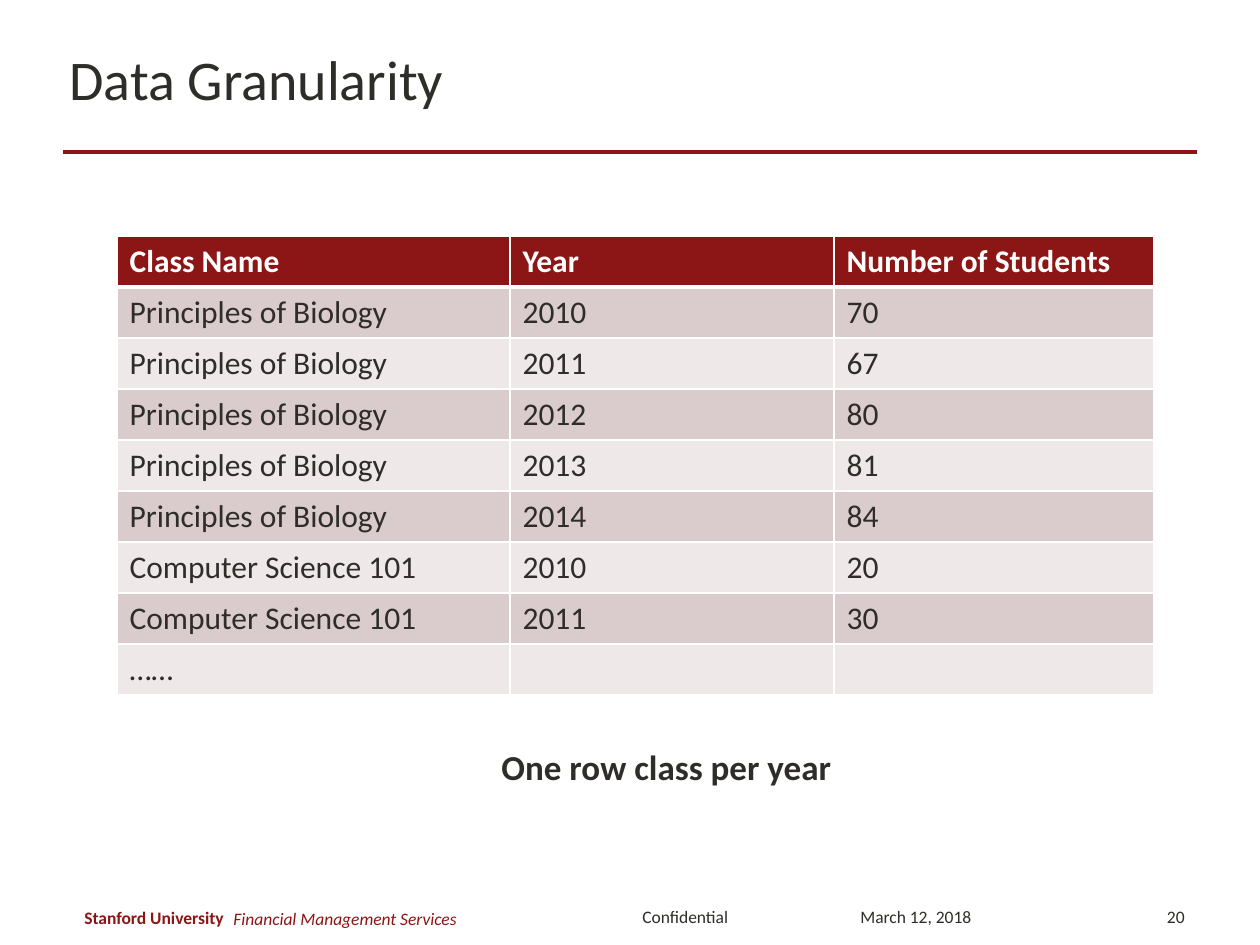
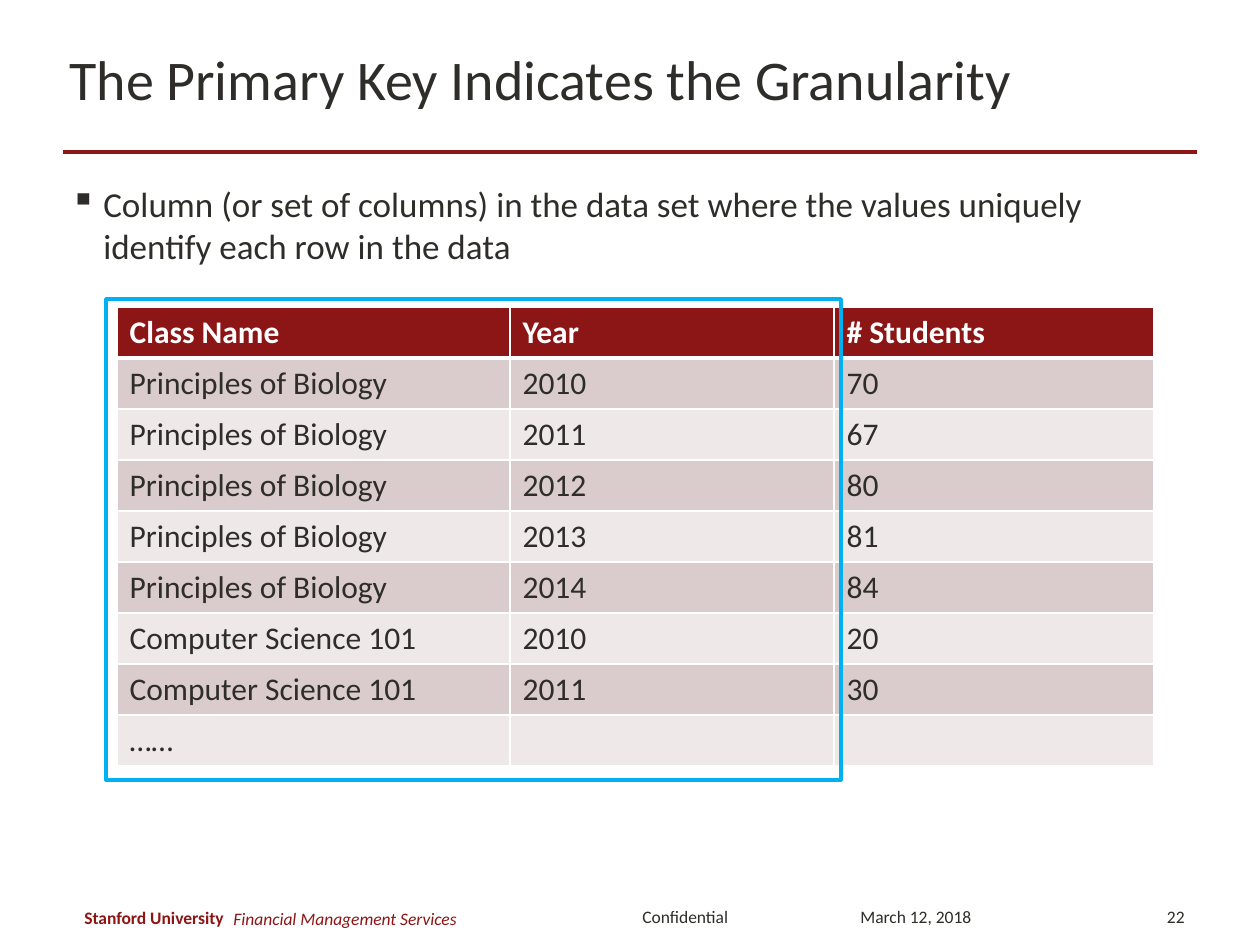
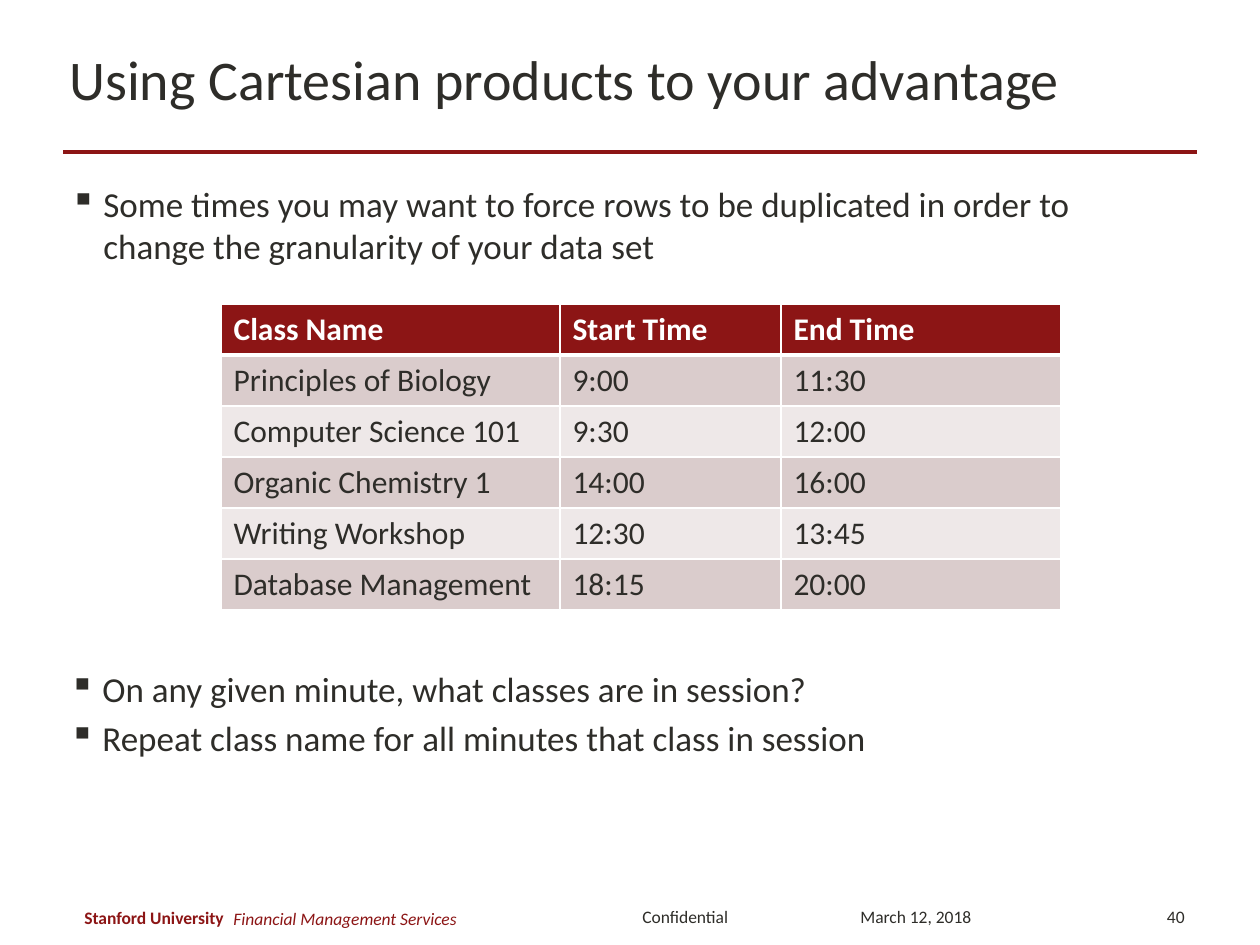
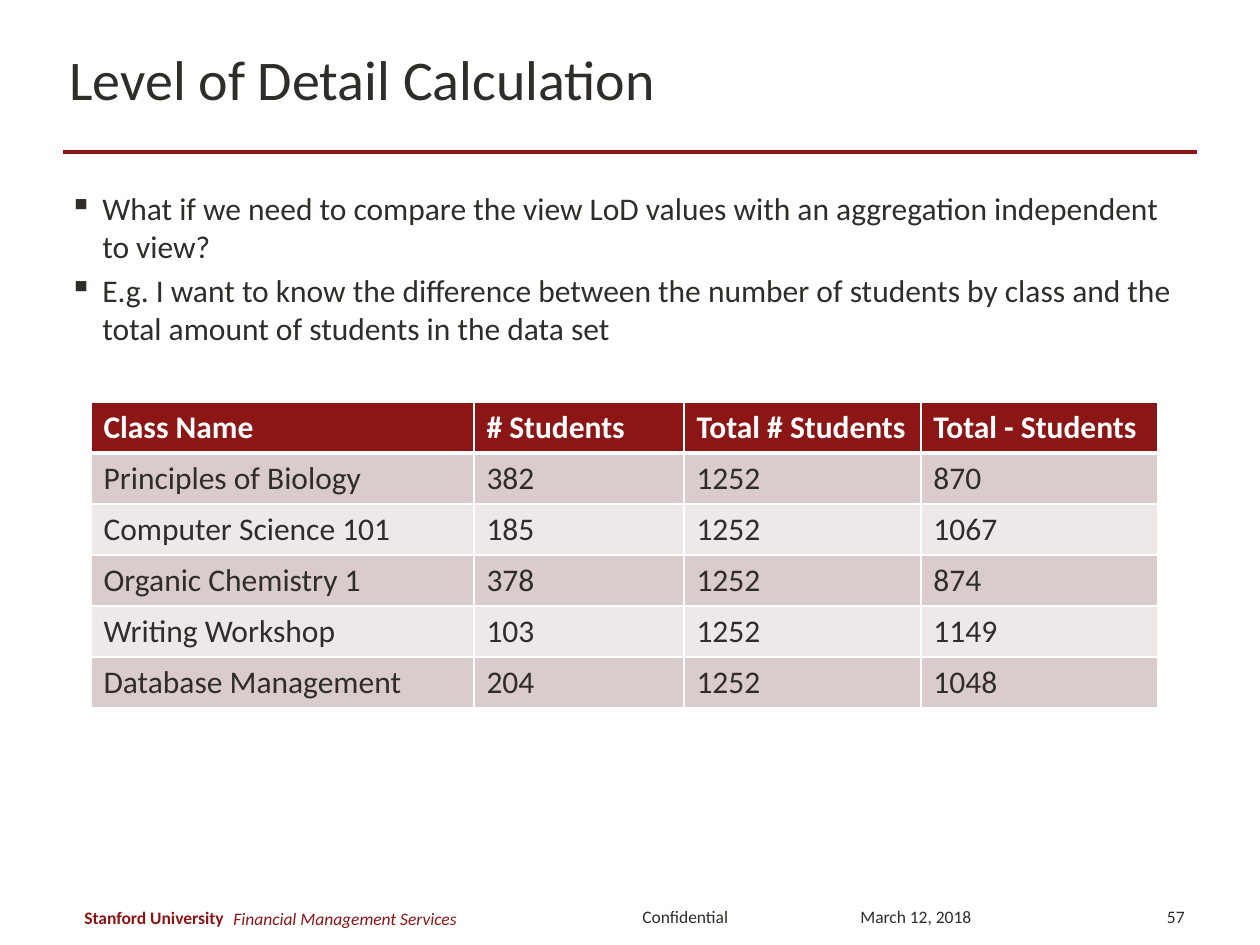
from lxml.etree import SubElement
from pptx import Presentation
from pptx.dml.color import RGBColor
from pptx.enum.shapes import MSO_CONNECTOR, MSO_SHAPE
from pptx.enum.text import MSO_ANCHOR, MSO_AUTO_SIZE, PP_ALIGN
from pptx.oxml.ns import qn
from pptx.util import Emu, Pt

RED = RGBColor(0x8C, 0x15, 0x15)
INK = RGBColor(0x2E, 0x2D, 0x29)
WHITE = RGBColor(0xFF, 0xFF, 0xFF)
BLUE = RGBColor(0x00, 0xB0, 0xF0)
DARK = RGBColor(0xDA, 0xCC, 0xCC)
PALE = RGBColor(0xEE, 0xE8, 0xE8)

FONT = "Calibri"
SCALE = 914400 / 126
ROW = 51
INDENT = 33

BIO = "Principles of Biology"
CODE = "Computer Science 101"
CLASSES = [BIO, CODE, "Organic Chemistry 1", "Writing Workshop", "Database Management"]
ROLLS = [
    (BIO, "2010", "70"),
    (BIO, "2011", "67"),
    (BIO, "2012", "80"),
    (BIO, "2013", "81"),
    (BIO, "2014", "84"),
    (CODE, "2010", "20"),
    (CODE, "2011", "30"),
    ("……", "", ""),
]
ROLL_COLS = [393, 324, 320]
TIMES = [("9:00", "11:30"), ("9:30", "12:00"), ("14:00", "16:00"),
         ("12:30", "13:45"), ("18:15", "20:00")]
COUNTS = [382, 185, 378, 103, 204]


def px(*sizes):
    return [Emu(round(size * SCALE)) for size in sizes]


def style(para, size, color=INK, bold=False, italic=False):
    for run in para.runs:
        font = run.font
        font.name, font.size = FONT, Pt(size)
        font.bold, font.italic = bold, italic
        font.color.rgb = color


def border(cell, **widths):
    """Draw white cell edges; widths in points, keyed L, R, T, B."""
    props = cell._tc.get_or_add_tcPr()
    for side, width in widths.items():
        edge = SubElement(props, qn(f"a:ln{side}"), w=str(Pt(width)))
        fill = SubElement(edge, qn("a:solidFill"))
        SubElement(fill, qn("a:srgbClr"), val=str(WHITE))


class Deck:
    def __init__(self):
        self.file = Presentation()
        self.file.slide_width, self.file.slide_height = px(1260, 945)
        self.slide = None

    def page(self, title, number):
        """Start a slide with its title, rule and footer."""
        self.slide = self.file.slides.add_slide(self.file.slide_layouts[6])
        mid = MSO_ANCHOR.MIDDLE
        self.rule(63, 1197, 152)
        self.text([title], (57, 23, 1134, 110), 32, anchor=mid)
        self.text(["Confidential"], (630, 892, 129, 50), 10, anchor=mid)
        name = self.text(["Stanford University"], (72, 900, 168, 34), 10,
                         anchor=mid, color=RED, bold=True)
        name.word_wrap = False
        name.auto_size = MSO_AUTO_SIZE.SHAPE_TO_FIT_TEXT
        self.text(["Financial Management Services"], (221, 894, 399, 50), 10,
                  anchor=mid, color=RED, italic=True)
        self.text(["March 12, 2018"], (848, 892, 174, 50), 10, anchor=mid)
        count = self.text([str(number)], (1112, 892, 85, 50), 10, anchor=mid)
        count.paragraphs[0].alignment = PP_ALIGN.RIGHT

    def rule(self, left, right, top):
        line = self.slide.shapes.add_connector(
            MSO_CONNECTOR.STRAIGHT, *px(left, top, right, top))
        line.line.color.rgb = RED
        line.line.width = Pt(2.25)
        SubElement(line._element.spPr, qn("a:effectLst"))

    def text(self, lines, place, size, anchor=MSO_ANCHOR.TOP, bullet=False, **look):
        frame = self.slide.shapes.add_textbox(*px(*place)).text_frame
        frame.word_wrap = True
        frame.vertical_anchor = anchor
        frame.text = "\n".join(lines)
        for i, para in enumerate(frame.paragraphs):
            if bullet:
                props = para._p.get_or_add_pPr()
                indent, = px(INDENT)
                props.set("marL", str(indent))
                props.set("indent", str(-indent))
                SubElement(props, qn("a:buChar"), char="▪")
            if i:
                para.space_before = Pt(size / 5)
            style(para, size, **look)
        return frame

    def points(self, lines, place, size=20):
        self.text(lines, place, size, bullet=True)

    def table(self, left, top, widths, rows):
        """Place a table whose first row is the header."""
        grid = self.slide.shapes.add_table(
            len(rows), len(widths),
            *px(left, top, sum(widths), ROW * len(rows))).table
        grid.horz_banding = False
        for col, width in zip(grid.columns, px(*widths)):
            col.width = width
        for r, row in enumerate(rows):
            head = r == 0
            for c, word in enumerate(row):
                cell = grid.cell(r, c)
                border(cell, L=1, R=1, T=3 if r == 1 else 1, B=3 if head else 1)
                cell.fill.solid()
                cell.fill.fore_color.rgb = RED if head else DARK if r % 2 else PALE
                cell.text_frame.text = word
                style(cell.text_frame.paragraphs[0], 18,
                      WHITE if head else INK, bold=head)

    def frame(self, *place):
        box = self.slide.shapes.add_shape(MSO_SHAPE.RECTANGLE, *px(*place))
        box.shadow.inherit = False
        box.fill.background()
        box.line.color.rgb = BLUE
        box.line.width = Pt(2)


def main():
    deck = Deck()

    deck.page("Data Granularity", 20)
    deck.table(117, 236, ROLL_COLS, [("Class Name", "Year", "Number of Students")] + ROLLS)
    deck.text(["One row class per year"], (489, 739, 360, 86), 20, bold=True)

    deck.page("The Primary Key Indicates the Granularity", 22)
    deck.points(["Column (or set of columns) in the data set where the values "
                 "uniquely identify each row in the data"], (58, 176, 1134, 624))
    deck.table(117, 307, ROLL_COLS, [("Class Name", "Year", "# Students")] + ROLLS)
    deck.frame(106, 299, 735, 481)

    deck.page("Using Cartesian products to your advantage", 40)
    deck.points(["Some times you may want to force rows to be duplicated in order "
                 "to change the granularity of your data set"], (58, 176, 1134, 112))
    hours = [(name, *span) for name, span in zip(CLASSES, TIMES)]
    deck.table(221, 304, [339, 221, 280], [("Class Name", "Start Time", "End Time")] + hours)
    deck.points(["On any given minute, what classes are in session?",
                 "Repeat class name for all minutes that class in session"],
                (57, 661, 1134, 112))

    deck.page("Level of Detail Calculation", 57)
    deck.points(["What if we need to compare the view LoD values with an "
                 "aggregation independent to view?",
                 "E.g. I want to know the difference between the number of students "
                 "by class and the total amount of students in the data set"],
                (57, 183, 1134, 179), 18)
    total = sum(COUNTS)
    sums = [(name, str(count), str(total), str(total - count))
            for name, count in zip(CLASSES, COUNTS)]
    deck.table(91, 402, [383, 210, 237, 237],
               [("Class Name", "# Students", "Total # Students", "Total - Students")] + sums)

    deck.file.save("out.pptx")


if __name__ == "__main__":
    main()
